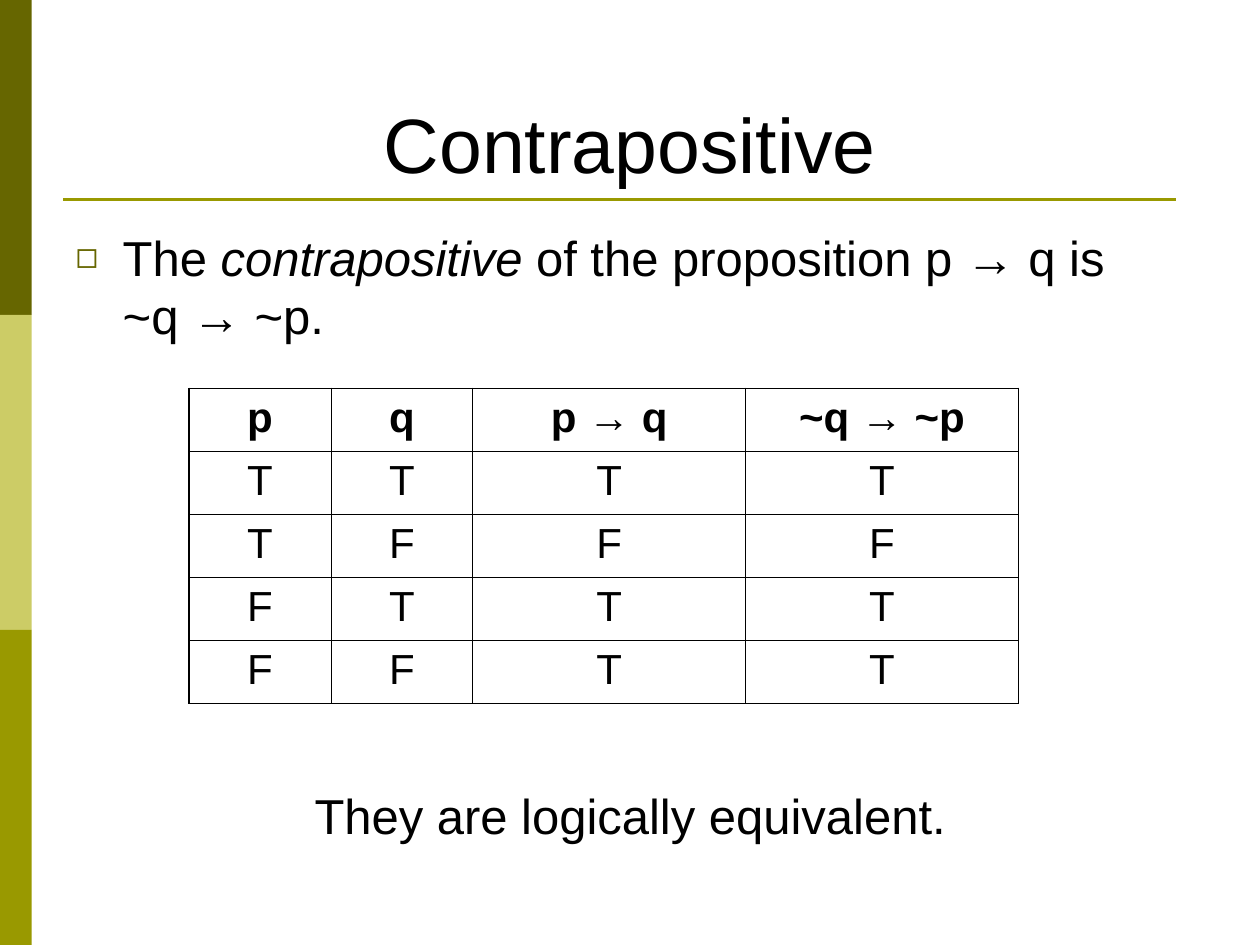
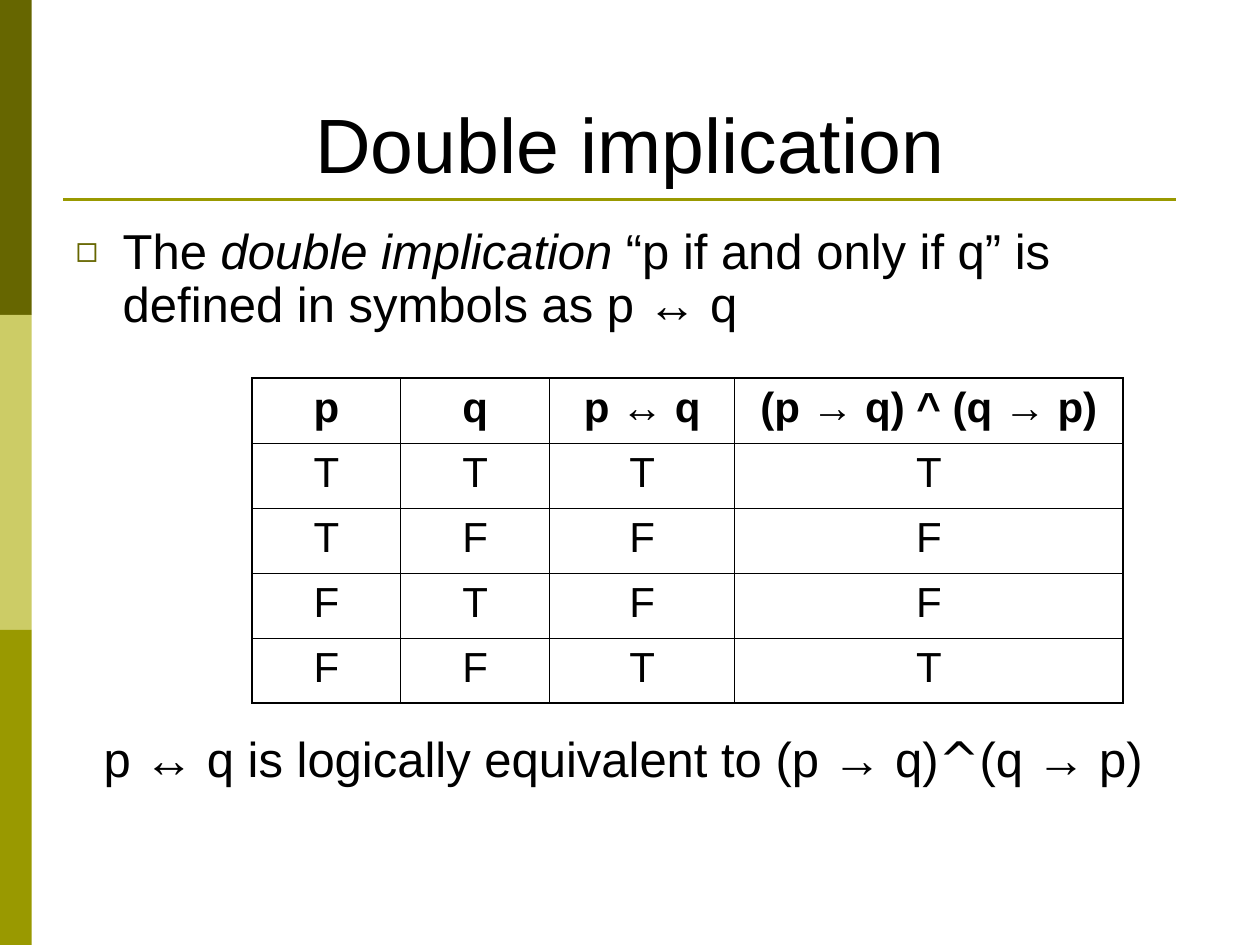
"""Builds two slides on logical equivalence, each with a truth table."""
from dataclasses import dataclass

from lxml import etree
from pptx import Presentation
from pptx.dml.color import RGBColor
from pptx.enum import shapes, text
from pptx.oxml import ns
from pptx.util import Cm, Pt


@dataclass(frozen=True)
class Theme:
    font: str = "Arial"
    symbol_font: str = "DejaVu Sans"
    ink: str = "000000"
    dark: str = "666600"
    light: str = "CCCC66"
    olive: str = "999900"
    title_size: int = 44
    body_size: int = 28
    table_size: int = 24
    rule_width: float = 1.5
    outer_border: float = 1.08
    inner_border: float = 0.45


class Deck:
    def __init__(self, theme):
        self.theme = theme
        self.prs = Presentation()
        self.prs.slide_width, self.prs.slide_height = Cm(25.4), Cm(19.05)
        self.s = None

    def new_slide(self, title):
        self.s = self.prs.slides.add_slide(self.prs.slide_layouts[1])
        self.bands()
        self.rule()
        self.title(title)

    def bands(self):
        t = self.theme
        height = self.prs.slide_height // 3
        for i, color in enumerate((t.dark, t.light, t.olive)):
            sp = self.s.shapes.add_shape(
                shapes.MSO_SHAPE.RECTANGLE, 0, i * height, Cm(0.64), height)
            sp.shadow.inherit = False
            sp.fill.solid()
            sp.fill.fore_color.rgb = RGBColor.from_string(color)
            sp.line.fill.background()

    def rule(self):
        line = self.s.shapes.add_connector(
            shapes.MSO_CONNECTOR.STRAIGHT, Cm(1.27), Cm(4.02), Cm(23.7), Cm(4.02))
        line.line.color.rgb = RGBColor.from_string(self.theme.olive)
        line.line.width = Pt(self.theme.rule_width)
        etree.SubElement(line.element.spPr, ns.qn("a:effectLst"))

    def place(self, sp, top, height, anchor):
        sp.left, sp.top, sp.width, sp.height = Cm(1.27), Cm(top), Cm(22.86), Cm(height)
        tf = sp.text_frame
        tf.auto_size = text.MSO_AUTO_SIZE.NONE
        tf.word_wrap = True
        tf.vertical_anchor = anchor
        return tf

    def style(self, font, size, name=None, bold=False, italic=False):
        font.name = name or self.theme.font
        font.size = Pt(size)
        font.bold, font.italic = bold, italic
        font.color.rgb = RGBColor.from_string(self.theme.ink)

    def title(self, words):
        tf = self.place(self.s.shapes.title, 0.76, 3.18, text.MSO_ANCHOR.BOTTOM)
        tf.text = words
        p = tf.paragraphs[0]
        p.alignment = text.PP_ALIGN.CENTER
        self.style(p.runs[0].font, self.theme.title_size)

    def body(self, definition, conclusion, gap, spacing):
        tf = self.place(self.s.placeholders[1], 4.45, 13.55, text.MSO_ANCHOR.TOP)
        p = tf.paragraphs[0]
        self.bullet(p)
        p.space_before, p.line_spacing = Pt(0), spacing
        self.runs(p, definition)
        p = tf.add_paragraph()
        pPr = p._p.get_or_add_pPr()
        pPr.set("marL", "0")
        pPr.set("indent", "0")
        etree.SubElement(pPr, ns.qn("a:buNone"))
        p.alignment = text.PP_ALIGN.CENTER
        p.space_before, p.line_spacing = Pt(gap), spacing
        self.runs(p, conclusion)

    def bullet(self, p):
        pPr = p._p.get_or_add_pPr()
        pPr.set("marL", str(Cm(0.95)))
        pPr.set("indent", str(-Cm(0.95)))
        color = etree.SubElement(pPr, ns.qn("a:buClr"))
        etree.SubElement(color, ns.qn("a:srgbClr"), val=self.theme.dark)
        etree.SubElement(pPr, ns.qn("a:buSzPct"), val="75000")
        etree.SubElement(pPr, ns.qn("a:buFont"), typeface=self.theme.font)
        etree.SubElement(pPr, ns.qn("a:buChar"), char="◻")

    def runs(self, p, parts):
        size = self.theme.body_size
        for words, look in parts:
            if look == "break":
                p.add_line_break()
                etree.SubElement(p._p[-1], ns.qn("a:rPr"), sz=str(size * 100))
                continue
            r = p.add_run()
            r.text = words
            name = self.theme.symbol_font if look == "symbol" else None
            self.style(r.font, size, name, italic=look == "italic")

    def truth_table(self, left, top, widths, row_height, rows):
        frame = self.s.shapes.add_table(
            len(rows), len(widths), Cm(left), Cm(top),
            Cm(sum(widths)), Cm(row_height * len(rows)))
        table = frame.table
        table.first_row = table.horz_banding = False
        for column, width in zip(table.columns, widths):
            column.width = Cm(width)
        for i, values in enumerate(rows):
            table.rows[i].height = Cm(row_height)
            for j, value in enumerate(values):
                cell = table.cell(i, j)
                cell.text = value
                p = cell.text_frame.paragraphs[0]
                p.alignment = text.PP_ALIGN.CENTER
                self.style(p.runs[0].font, self.theme.table_size, bold=i == 0)
                self.borders(cell, L=j == 0, R=j == len(widths) - 1,
                             T=i == 0, B=i == len(rows) - 1)
                cell.fill.background()

    def borders(self, cell, **outer_sides):
        t = self.theme
        tcPr = cell._tc.get_or_add_tcPr()
        for side, outer in outer_sides.items():
            width = Pt(t.outer_border if outer else t.inner_border)
            ln = etree.SubElement(tcPr, ns.qn(f"a:ln{side}"), w=str(width))
            fill = etree.SubElement(ln, ns.qn("a:solidFill"))
            etree.SubElement(fill, ns.qn("a:srgbClr"), val=t.ink)


def main():
    deck = Deck(Theme())

    deck.new_slide("Contrapositive")
    deck.body(
        [("The ", ""), ("contrapositive", "italic"),
         (" of the proposition p → q is", ""), ("", "break"), ("~q → ~p.", "")],
        [("They are logically equivalent.", "")], gap=252, spacing=1.0)
    deck.truth_table(
        3.81, 7.83, (2.86, 2.86, 5.5, 5.5), 1.27,
        [("p", "q", "p → q", "~q → ~p"), "TTTT", "TFFF", "FTTT", "FFTT"])

    deck.new_slide("Double implication")
    deck.body(
        [("The ", ""), ("double implication", "italic"),
         (" “p if and only if q” is defined in symbols as p ↔ q", "")],
        [("p ↔ q is logically equivalent to (p → q)", ""), ("^", "symbol"),
         ("(q → p) ", "")], gap=230, spacing=0.9)
    deck.truth_table(
        5.08, 7.62, (3, 3, 3.73, 7.83), 1.31,
        [("p", "q", "p ↔ q", "(p → q) ^ (q → p)"), "TTTT", "TFFF", "FTFF", "FFTT"])

    deck.prs.save("out.pptx")


if __name__ == "__main__":
    main()
